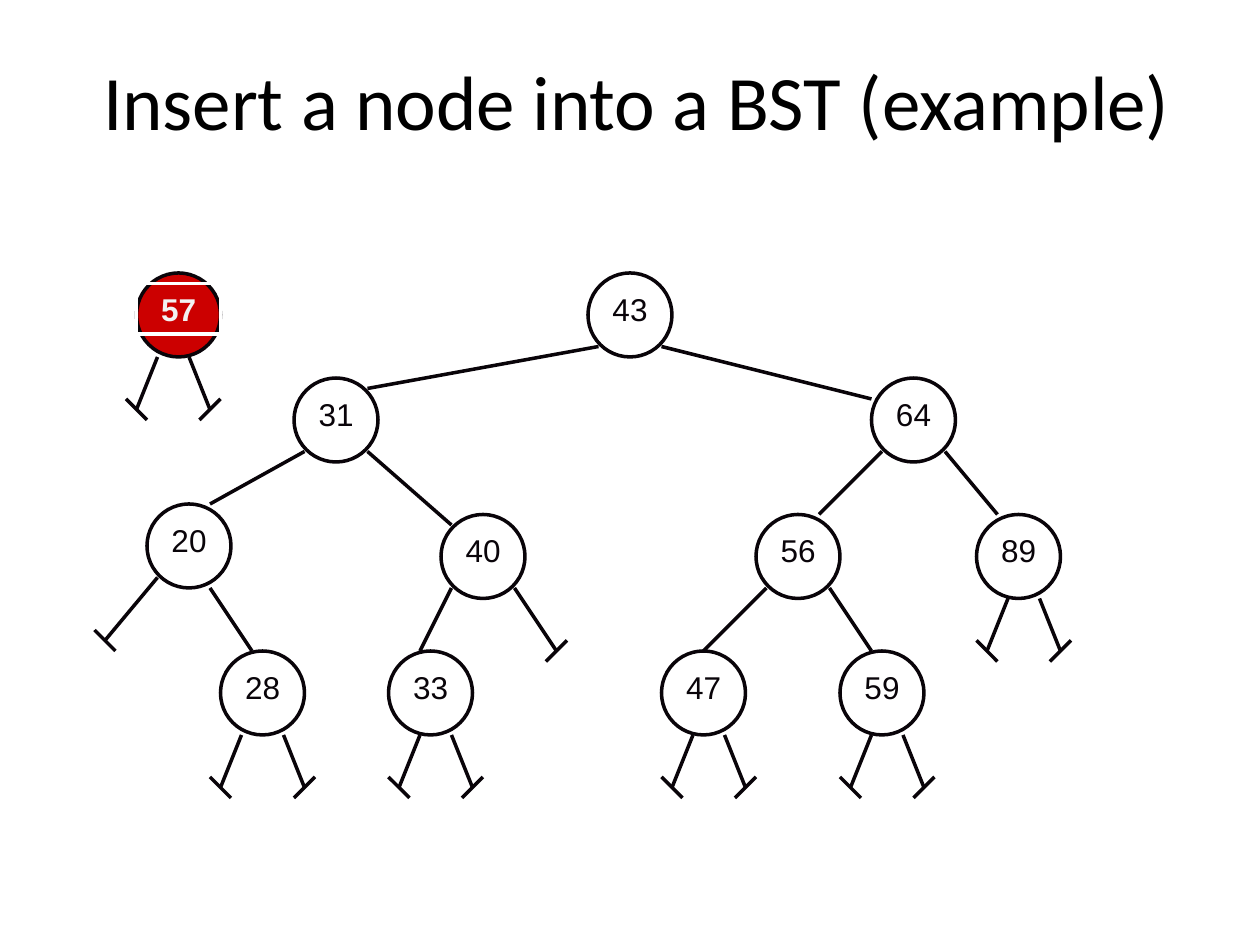
from dataclasses import dataclass

from pptx import Presentation
from pptx.dml.color import RGBColor as Rgb
from pptx.enum import shapes, text
from pptx.oxml import ns, xmlchemy as xml
from pptx.util import Inches, Pt


@dataclass(frozen=True)
class Theme:
    ink: Rgb = Rgb.from_string("090409")
    title: Rgb = Rgb.from_string("000000")
    paper: Rgb = Rgb.from_string("FFFFFF")
    red: Rgb = Rgb.from_string("CC0000")
    pale: Rgb = Rgb.from_string("F2F2F2")
    head: Pt = Pt(44)
    key: Pt = Pt(18)
    line: Pt = Pt(2)


THEME = Theme()
SIZE = 8  # node diameter in grid steps

# Left and top of each node, in grid steps
NODES = {
    31: (28, 36), 43: (56, 26), 64: (83, 36),
    20: (14, 48), 40: (42, 49), 56: (72, 49), 89: (93, 49),
    28: (21, 62), 33: (37, 62), 47: (63, 62), 59: (80, 62),
}
NEW = (13, 26)

# Links from parent to child: x1, y1, x2, y2
EDGES = [
    (57, 33, 35, 37), (63, 33, 83, 38),
    (29, 43, 20, 48), (35, 43, 43, 50),
    (84, 43, 78, 49), (90, 43, 95, 49),
    (20, 56, 24, 62), (43, 56, 40, 62),
    (73, 56, 67, 62), (79, 56, 83, 62),
]

# Leaves with the x offsets of their two empty links
LEAVES = {28: (2, 6), 33: (3, 6), 47: (3, 6), 59: (3, 6), 89: (3, 6)}


def grid(step):
    """Turn grid steps, twelve to the inch, into a length."""
    return Inches(step / 12)


def add_title(slide, words):
    title = slide.shapes.title
    title.left, title.top = Inches(0.25), Inches(0.17)
    title.width, title.height = Inches(9.75), Inches(1.25)
    frame = title.text_frame
    frame.text = words
    frame.vertical_anchor = text.MSO_ANCHOR.MIDDLE
    para = frame.paragraphs[0]
    para.alignment = text.PP_ALIGN.CENTER
    font = para.runs[0].font
    font.name, font.size = "Calibri", THEME.head
    font.color.rgb = THEME.title


def add_form(slide, kind, box, line, fill=None):
    form = slide.shapes.add_shape(kind, *box)
    form.shadow.inherit = False
    form.line.color.rgb = line
    form.line.width = THEME.line
    if fill is None:
        form.fill.background()
    else:
        form.fill.solid()
        form.fill.fore_color.rgb = fill
    return form


def add_ring(slide, spot, fill=None):
    x, y = spot
    box = grid(x), grid(y), grid(SIZE), grid(SIZE)
    add_form(slide, shapes.MSO_SHAPE.OVAL, box, THEME.ink, fill)


def add_key(slide, key, spot, color=THEME.ink, bold=False):
    x, y = spot
    box = grid(x), grid(y + 1), grid(SIZE), Inches(0.4)
    form = add_form(slide, shapes.MSO_SHAPE.RECTANGLE, box, THEME.paper)
    frame = form.text_frame
    frame.text = str(key)
    frame.word_wrap = True
    frame.auto_size = text.MSO_AUTO_SIZE.SHAPE_TO_FIT_TEXT
    frame.vertical_anchor = text.MSO_ANCHOR.TOP
    para = frame.paragraphs[0]
    para.alignment = text.PP_ALIGN.CENTER
    para.space_before = Pt(11.2)
    font = para.runs[0].font
    font.name, font.size, font.bold = "Arial", THEME.key, bold
    font.color.rgb = color


def add_line(slide, *ends):
    line = slide.shapes.add_connector(
        shapes.MSO_CONNECTOR.STRAIGHT, *map(grid, ends))
    line.line.color.rgb = THEME.ink
    line.line.width = THEME.line
    props = line._element.spPr
    props.append(xml.OxmlElement("a:effectLst"))


def add_null(slide, x1, y1, x2, y2):
    """Draw an empty link that ends in a slanted bar."""
    add_line(slide, x1, y1, x2, y2)
    tilt = 1 if x2 < x1 else -1
    add_line(slide, x2 - 1, y2 - tilt, x2 + 1, y2 + tilt)


def add_stubs(slide, spot, pair):
    """Draw the two empty links below a leaf."""
    x, y = spot
    base = y + SIZE
    for side, start in zip((-1, 1), pair):
        add_null(slide, x + start, base, x + start + 2 * side, base + 5)


def main():
    deck = Presentation()
    deck.slide_width, deck.slide_height = Inches(10), Inches(7.5)
    slide = deck.slides.add_slide(deck.slide_layouts[5])
    add_title(slide, "Insert a node into a BST (example) ")

    # Tree nodes
    for key, spot in NODES.items():
        add_key(slide, key, spot)
        add_ring(slide, spot)

    # Links, filled and empty
    for edge in EDGES:
        add_line(slide, *edge)
    add_null(slide, 15, 55, 10, 61)
    add_null(slide, 49, 56, 53, 62)
    for key, pair in LEAVES.items():
        add_stubs(slide, NODES[key], pair)

    # Node to insert
    add_ring(slide, NEW, THEME.red)
    add_key(slide, 57, NEW, THEME.pale, bold=True)
    add_stubs(slide, NEW, (2, 5))

    deck.save("out.pptx")


if __name__ == "__main__":
    main()
